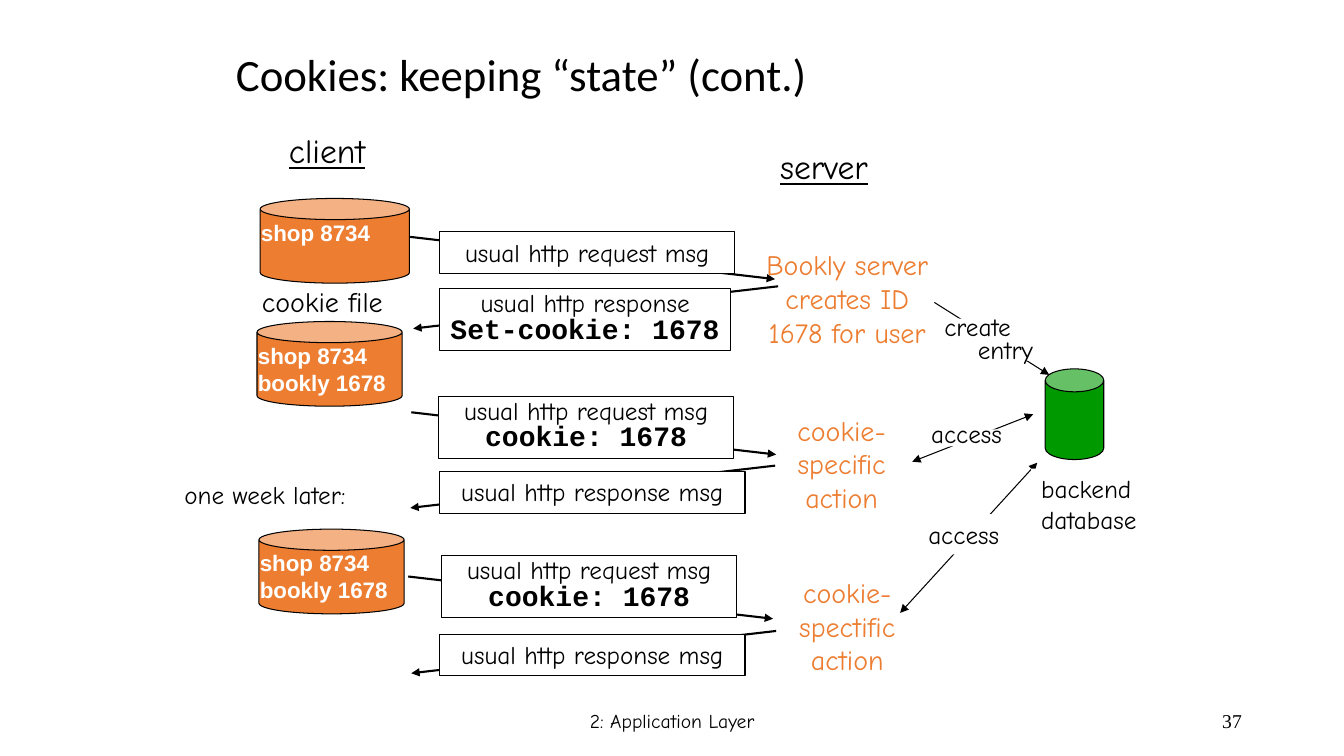
from dataclasses import dataclass, field

from lxml import etree
from pptx import Presentation
from pptx import util as u
from pptx.dml.color import RGBColor
from pptx.enum import shapes, text
from pptx.oxml import ns

COLOURS = {"ink": "000000", "paper": "FFFFFF", "orange": "ED7D31", "green": "009900"}
COMIC, MONO = "Comic Neue", "Courier New"
LEFT, CENTRE, RIGHT = text.PP_ALIGN.LEFT, text.PP_ALIGN.CENTER, text.PP_ALIGN.RIGHT
MESSAGE_RUN, MESSAGE_DROP = 260.6, 30.2

Box = tuple[float, float, float, float]
Point = tuple[float, float]


@dataclass
class Style:
    font: dict
    colour: str = "ink"
    align: text.PP_ALIGN = LEFT
    spacing: float = 1.0
    wrap: bool = False
    grow: bool = True
    anchor: text.MSO_ANCHOR = text.MSO_ANCHOR.TOP
    last_font: dict = field(default_factory=dict)
    last_indent: float = 0


@dataclass
class Label:
    lines: list[str]
    box: Box
    style: Style
    fill: str | None = None
    border: bool = False


@dataclass
class Cylinder:
    box: Box
    fill: str
    lid: float = 0.25
    entries: list[str] = field(default_factory=list)


@dataclass
class Arrow:
    start: Point
    end: Point
    width: float = 0.75
    both_ends: bool = False


@dataclass
class Message:
    lines: list[str]
    box: Box
    start: Point
    to_server: bool


def font(name: str, size: float, **extra) -> dict:
    return {"name": name, "size": u.Pt(size), **extra}


HEADING = Style(font(COMIC, 24, underline=True), align=CENTRE)
NOTE = Style(font(COMIC, 18))
CAPTION = Style(font(COMIC, 20), wrap=True)
STACKED = Style(font(COMIC, 18), spacing=0.75, wrap=True, last_indent=24)
ACTION = Style(font(COMIC, 20), "orange", CENTRE)
COOKIE = Style(font("Arial", 16, bold=True), "paper")
PLAIN_MESSAGE = Style(font(COMIC, 18), align=CENTRE, wrap=True)
COOKIE_MESSAGE = Style(font(COMIC, 18), align=CENTRE, spacing=0.8, wrap=True,
                       last_font=font(MONO, 20, bold=True))
TITLE = Style(font("Calibri", 32), spacing=0.9, wrap=True, grow=False,
              anchor=text.MSO_ANCHOR.MIDDLE)
FOOTER = Style(font(COMIC, 14), align=CENTRE, wrap=True, grow=False,
               anchor=text.MSO_ANCHOR.MIDDLE)
PAGE = Style(font("Times New Roman", 14), align=RIGHT, wrap=True, grow=False,
             anchor=text.MSO_ANCHOR.MIDDLE)

CYLINDERS = [
    Cylinder((185.8, 141.8, 106.6, 60.5), "orange", entries=["shop 8734"]),
    Cylinder((183.6, 229.7, 103.7, 60.5), "orange", entries=["shop 8734", "bookly 1678"]),
    Cylinder((185, 378, 103.7, 60.5), "orange", entries=["shop 8734", "bookly 1678"]),
    Cylinder((746.6, 263.5, 41.8, 64.8), "green", 0.392),
]

REQUEST, RESPONSE = "usual http request msg", "usual http response msg"
MESSAGES = [
    Message([REQUEST], (314, 165.6, 211, 29.5), (293, 169.2), True),
    Message(["usual http response", "Set-cookie: 1678"], (314, 206, 208, 44.6),
            (555.8, 204.5), False),
    Message([REQUEST, "cookie: 1678"], (313.2, 283, 211, 44.6), (293.8, 294.5), True),
    Message([RESPONSE], (314, 337, 218.2, 29.5), (553.7, 332.6), False),
    Message([REQUEST, "cookie: 1678"], (315.4, 396.7, 211, 44.6), (291.6, 411.8), True),
    Message([RESPONSE], (314, 453, 218.2, 29.5), (554.4, 450.7), False),
]

DATABASE_ARROWS = [
    Arrow((667.4, 216), (749.5, 267.8)),
    Arrow((651.6, 329.8), (738, 295.9), both_ends=True),
    Arrow((643, 437.8), (740.9, 330.5), both_ends=True),
]

# White patches that interrupt the database arrows behind their labels
PATCHES: list[Box] = [(679, 227.5, 75.6, 30.2), (671, 306.7, 48.2, 12.2)]

LABELS = [
    Label(["client"], (195.1, 89.3, 77, 36), HEADING),
    Label(["server"], (545, 100.8, 87.1, 36), HEADING),
    Label(["cookie file"], (180, 199.4, 140.4, 31), CAPTION),
    Label(["one week later:"], (124.6, 339.1, 142.6, 28.8), NOTE),
    Label(["Bookly server", "creates ID", "1678 for user"], (528.5, 173.5, 153.4, 79.2), ACTION),
    Label(["cookie-", "specific", "action"], (557.3, 291.6, 87.8, 79.2), ACTION),
    Label(["cookie-", "spectific", "action"], (556.6, 407.5, 97.2, 79.2), ACTION),
    Label(["create", "entry"], (667.4, 223.9, 92.2, 39.6), STACKED),
    Label(["access"], (658, 295.2, 69.8, 28.8), NOTE),
    Label(["access"], (656, 367.2, 69.8, 28.8), NOTE, "paper"),
    Label(["backend", "database"], (736.6, 334.8, 90.7, 50.4), NOTE, "paper"),
    Label(["2: Application Layer"], (318.2, 500.4, 324, 28.8), FOOTER),
    Label(["37"], (678.2, 500.4, 216, 28.8), PAGE),
]


def rgb(colour: str) -> RGBColor:
    return RGBColor.from_string(COLOURS[colour])


def points(values) -> list[u.Length]:
    return [u.Pt(value) for value in values]


def paint(shape, fill: str | None, border: bool) -> None:
    if fill:
        shape.fill.solid()
        shape.fill.fore_color.rgb = rgb(fill)
    if border:
        shape.line.color.rgb = rgb("ink")
        shape.line.width = u.Pt(0.75)
    else:
        shape.line.fill.background()


def write(shape, lines: list[str], style: Style) -> None:
    frame = shape.text_frame
    frame.text = "\n".join(lines)
    frame.word_wrap = style.wrap
    frame.vertical_anchor = style.anchor
    frame.auto_size = (text.MSO_AUTO_SIZE.SHAPE_TO_FIT_TEXT if style.grow
                       else text.MSO_AUTO_SIZE.NONE)
    for index, paragraph in enumerate(frame.paragraphs):
        is_last = index > 0 and index == len(lines) - 1
        paragraph.alignment = style.align
        paragraph.line_spacing = style.spacing
        if is_last and style.last_indent:
            paragraph._p.get_or_add_pPr().set("marL", str(u.Pt(style.last_indent)))
        values = {**style.font, **(style.last_font if is_last else {})}
        for name, value in values.items():
            setattr(paragraph.runs[0].font, name, value)
        paragraph.runs[0].font.color.rgb = rgb(style.colour)


def add_preset(slide, kind: shapes.MSO_SHAPE, box: Box, fill: str, border: bool):
    shape = slide.shapes.add_shape(kind, *points(box))
    shape.shadow.inherit = False
    paint(shape, fill, border)
    return shape


def add_label(slide, label: Label) -> None:
    shape = slide.shapes.add_textbox(*points(label.box))
    paint(shape, label.fill, label.border)
    write(shape, label.lines, label.style)


def add_cylinder(slide, cylinder: Cylinder) -> None:
    can = add_preset(slide, shapes.MSO_SHAPE.CAN, cylinder.box, cylinder.fill, True)
    can.adjustments[0] = cylinder.lid
    if cylinder.entries:
        left, top, _, _ = cylinder.box
        box = (left - 6.5, top + 11, 125.3, 7.2 + 19.4 * len(cylinder.entries))
        add_label(slide, Label(cylinder.entries, box, COOKIE))


def add_arrow(slide, arrow: Arrow) -> None:
    connector = slide.shapes.add_connector(
        shapes.MSO_CONNECTOR.STRAIGHT, *points(arrow.start + arrow.end))
    connector.line.color.rgb = rgb("ink")
    connector.line.width = u.Pt(arrow.width)
    line = connector.line._get_or_add_ln()
    for end in ["headEnd", "tailEnd"] if arrow.both_ends else ["tailEnd"]:
        etree.SubElement(line, ns.qn(f"a:{end}"), type="triangle")
    etree.SubElement(connector._element.spPr, ns.qn("a:effectLst"))


def add_message(slide, message: Message) -> None:
    x, y = message.start
    run = MESSAGE_RUN if message.to_server else -MESSAGE_RUN
    add_arrow(slide, Arrow(message.start, (x + run, y + MESSAGE_DROP), 1.5))
    style = COOKIE_MESSAGE if len(message.lines) > 1 else PLAIN_MESSAGE
    add_label(slide, Label(message.lines, message.box, style, "paper", True))


def main() -> None:
    presentation = Presentation()
    presentation.slide_width, presentation.slide_height = points((960, 540))
    slide = presentation.slides.add_slide(presentation.slide_layouts[5])

    # Title
    title = slide.shapes.title
    title.left, title.top, title.width, title.height = points((161.3, 10, 612, 90))
    write(title, ["Cookies: keeping “state” (cont.)"], TITLE)

    # Cookie files and database, then the traffic between them
    for cylinder in CYLINDERS:
        add_cylinder(slide, cylinder)
    for message in MESSAGES:
        add_message(slide, message)
    for arrow in DATABASE_ARROWS:
        add_arrow(slide, arrow)

    # Labels over the arrows
    for patch in PATCHES:
        add_preset(slide, shapes.MSO_SHAPE.RECTANGLE, patch, "paper", False)
    for label in LABELS:
        add_label(slide, label)

    presentation.save("out.pptx")


if __name__ == "__main__":
    main()
